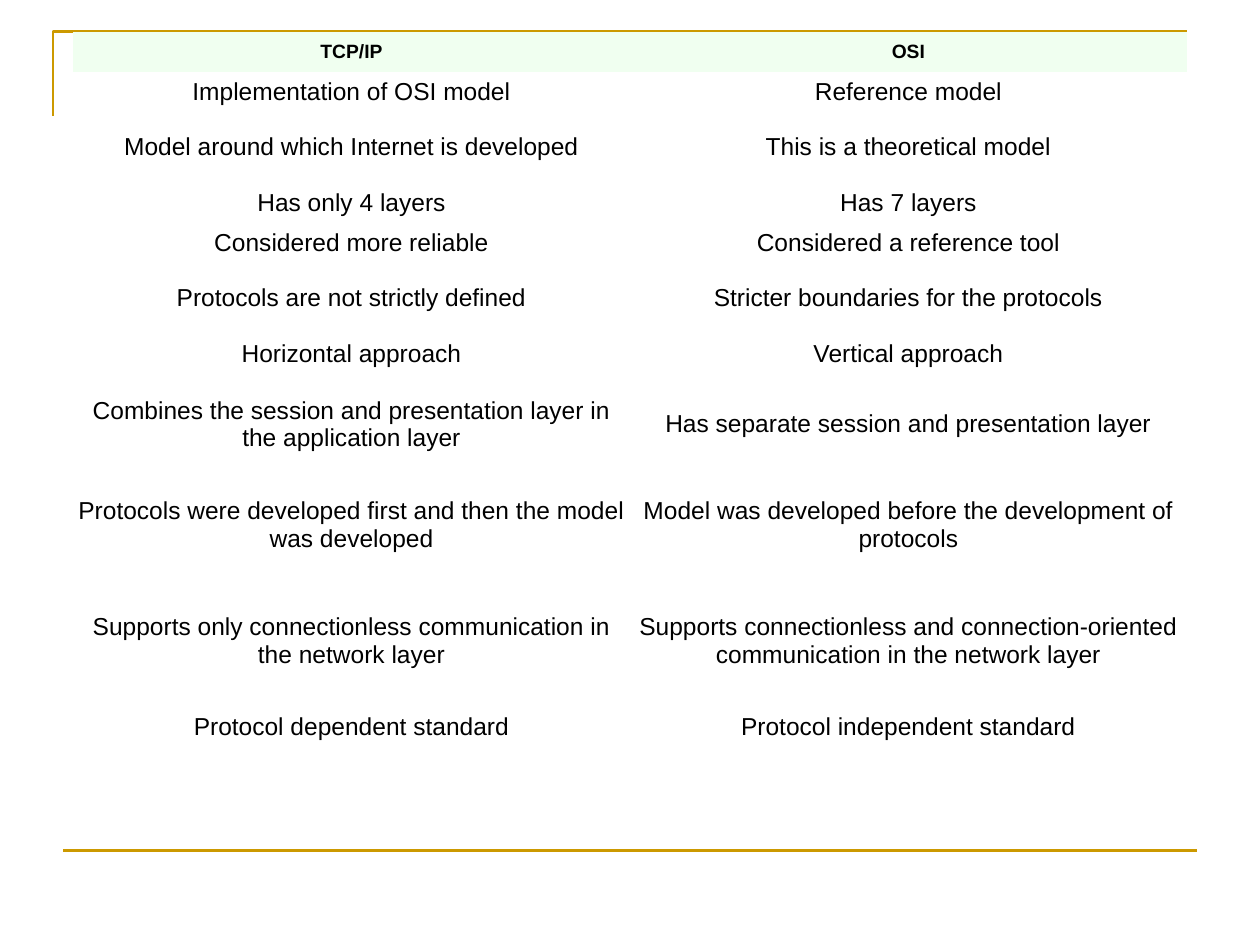
import pptx
import pptx.dml.color
import pptx.enum.shapes
import pptx.enum.text
import pptx.oxml.ns
import pptx.util
from lxml import etree

GOLD = pptx.dml.color.RGBColor(0xCC, 0x99, 0x00)
MINT = pptx.dml.color.RGBColor(0xF0, 0xFF, 0xF0)
BLACK = pptx.dml.color.RGBColor(0x00, 0x00, 0x00)
NO_STYLE_NO_GRID = "{2D5ABB26-0587-4C30-8999-92F81FD0307C}"
Inches = pptx.util.Inches

# Each row: height in grid units, left text, right text
ROW_UNIT = Inches(0.08)
COLUMN_WIDTH = Inches(4.42)
ROWS = [
    (4, "TCP/IP", "OSI"),
    (4, "Implementation of OSI model", "Reference model"),
    (7, "Model around which Internet is developed", "This is a theoretical model"),
    (4, "Has only 4 layers", "Has 7 layers"),
    (4, "Considered more reliable", "Considered a reference tool"),
    (7, "Protocols are not strictly defined", "Stricter boundaries for the protocols"),
    (4, "Horizontal approach", "Vertical approach"),
    (10, "Combines the session and presentation layer in the application layer",
     "Has separate session and presentation layer"),
    (10, "Protocols were developed first and then the model was developed",
     "Model was developed before the development of protocols"),
    (13, "Supports only connectionless communication in the network layer",
     "Supports connectionless and connection-oriented communication in the network layer"),
    (4, "Protocol dependent standard", "Protocol independent standard"),
]


def write_text(cell, text, size=14, bold=False, color=BLACK, font="Arial"):
    cell.margin_left = cell.margin_right = Inches(0.03)
    cell.margin_top = cell.margin_bottom = Inches(0.05)
    cell.vertical_anchor = pptx.enum.text.MSO_ANCHOR.MIDDLE
    paragraph = cell.text_frame.paragraphs[0]
    paragraph.alignment = pptx.enum.text.PP_ALIGN.CENTER
    run = paragraph.add_run()
    run.text = text
    run.font.name = font
    run.font.size = pptx.util.Pt(size)
    run.font.bold = bold
    run.font.color.rgb = color


presentation = pptx.Presentation()
presentation.slide_width = Inches(10)
presentation.slide_height = Inches(7.5)
width, height = presentation.slide_width, presentation.slide_height
slide = presentation.slides.add_slide(presentation.slide_layouts[6])

# Corner rule at the top left
left, top = Inches(0.42), height // 30
builder = slide.shapes.build_freeform(left, top + Inches(0.67))
builder.add_line_segments([(left, top), (left + Inches(9), top)], close=False)
corner = builder.convert_to_shape()
corner.shadow.inherit = False
corner.fill.background()

# Rule along the bottom
rule_y = int(height * 0.9)
bottom_rule = slide.shapes.add_connector(
    pptx.enum.shapes.MSO_CONNECTOR.STRAIGHT,
    int(width * 0.05), rule_y, int(width * 0.95), rule_y)
etree.SubElement(bottom_rule._element.spPr, pptx.oxml.ns.qn("a:effectLst"))

for shape in (corner, bottom_rule):
    shape.line.color.rgb = GOLD
    shape.line.width = pptx.util.Pt(1.5)

# Comparison table, without borders or banding
table_height = sum(units for units, *texts in ROWS) * ROW_UNIT
table = slide.shapes.add_table(
    len(ROWS), 2, Inches(0.58), top, 2 * COLUMN_WIDTH, table_height).table
table.horz_banding = False
table._tbl.tblPr.find(pptx.oxml.ns.qn("a:tableStyleId")).text = NO_STYLE_NO_GRID
for column in table.columns:
    column.width = COLUMN_WIDTH

for row_index, (units, *texts) in enumerate(ROWS):
    table.rows[row_index].height = units * ROW_UNIT
    is_header = row_index == 0
    for column_index, text in enumerate(texts):
        cell = table.cell(row_index, column_index)
        write_text(cell, text, size=11 if is_header else 14, bold=is_header)
        if is_header:
            cell.fill.solid()
            cell.fill.fore_color.rgb = MINT
        else:
            cell.fill.background()

presentation.save("out.pptx")
